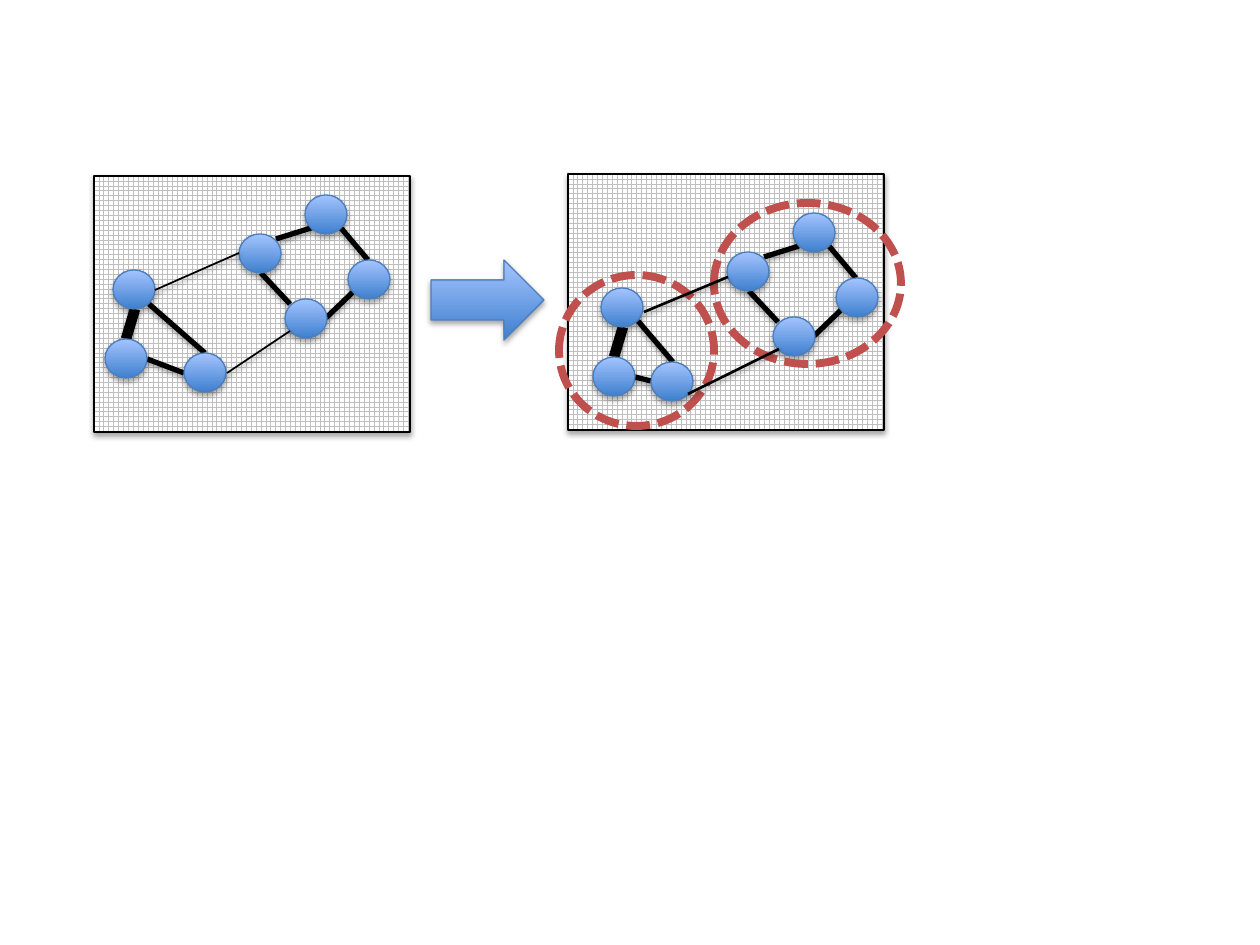
"""Build a slide showing a weighted graph split into two clusters."""
from lxml import etree
from pptx import Presentation
from pptx import util as u
from pptx.dml.color import RGBColor
from pptx.enum import dml, shapes
from pptx.oxml.ns import qn

BLACK = RGBColor(0x00, 0x00, 0x00)
WHITE = RGBColor(0xFF, 0xFF, 0xFF)
GRID_GREY = RGBColor(0xBF, 0xBF, 0xBF)
DEEP_BLUE = RGBColor(0x3F, 0x80, 0xCE)
LIGHT_BLUE = RGBColor(0xA4, 0xC4, 0xFF)
OUTLINE_BLUE = RGBColor(0x4B, 0x7E, 0xBC)
CLUSTER_RED = RGBColor(0xC0, 0x50, 0x4D)

NODE_SIZE = (42, 39)
RIGHT_SHIFT = (488, 18)
NODES = [(113, 270), (105, 339), (239, 234), (285, 299), (305, 195), (348, 260)]
EDGES = [
    (135, 309, 126, 339, 6),
    (290, 304, 261, 273, 3),
    (368, 260, 341, 228, 3),
    (311, 228, 276, 239, 3),
    (353, 292, 326, 318, 3),
]
LEFT_CORNER = (184, 353)
LEFT_CORNER_EDGES = [(184, 373, 147, 359, 3), (205, 353, 149, 304, 3)]
RIGHT_CORNER = (163, 344)
RIGHT_CORNER_EDGES = [(163, 363, 147, 359, 3), (185, 344, 150, 303, 3)]
PANELS = [(568, 174), (94, 176)]
CLUSTERS = [(714, 203, 187, 161), (559, 275, 155, 151)]
LINKS = [
    (239, 253, 155, 290, 1),
    (290, 331, 227, 373, 1),
    (728, 277, 644, 312, 1.5),
    (779, 349, 688, 394, 1.5),
]


class Canvas:
    """Hold the slide and the style of its elements."""

    def __init__(self, slide):
        self.slide = slide

    def emu(self, *pixels):
        return [u.Emu(round(value * 914400 / 126)) for value in pixels]

    def add_shadow(self, effects, distance, opacity):
        shadow = etree.SubElement(
            effects, qn("a:outerShdw"), blurRad="40000", dist=str(distance),
            dir="5400000", rotWithShape="0")
        tint = etree.SubElement(shadow, qn("a:srgbClr"), val=str(BLACK))
        etree.SubElement(tint, qn("a:alpha"), val=str(opacity * 1000))

    def shape(self, kind, box, line_color, line_width=0.75, shadow=True):
        shape = self.slide.shapes.add_shape(kind, *self.emu(*box))
        shape.line.color.rgb = line_color
        shape.line.width = u.Pt(line_width)
        shape.shadow.inherit = False
        if shadow:
            effects = shape.element.spPr.find(qn("a:effectLst"))
            self.add_shadow(effects, 23000, 35)
        return shape

    def panel(self, left, top):
        panel = self.shape(shapes.MSO_SHAPE.RECTANGLE, (left, top, 316, 256), BLACK)
        panel.fill.patterned()
        panel.fill.pattern = dml.MSO_PATTERN.LARGE_GRID
        panel.fill.fore_color.rgb = GRID_GREY
        panel.fill.back_color.rgb = WHITE

    def glossy(self, kind, *box):
        fill = self.shape(kind, box, OUTLINE_BLUE).fill
        fill.gradient()
        fill.gradient_angle = 90
        for stop, position, color in zip(
                fill.gradient_stops, (0, 1), (DEEP_BLUE, LIGHT_BLUE)):
            stop.position = position
            stop.color.rgb = color

    def cluster(self, *box):
        ring = self.shape(shapes.MSO_SHAPE.OVAL, box, CLUSTER_RED, 4.5, False)
        ring.fill.background()
        ring.line.dash_style = dml.MSO_LINE.SQUARE_DOT

    def edge(self, x1, y1, x2, y2, weight):
        edge = self.slide.shapes.add_connector(
            shapes.MSO_CONNECTOR.STRAIGHT, *self.emu(x1, y1, x2, y2))
        edge.line.color.rgb = BLACK
        edge.line.width = u.Pt(weight)
        effects = etree.SubElement(edge.element.spPr, qn("a:effectLst"))
        self.add_shadow(effects, 20000, 38)

    def graph(self, corner, corner_edges, dx=0, dy=0):
        for x1, y1, x2, y2, weight in EDGES + corner_edges:
            self.edge(x1 + dx, y1 + dy, x2 + dx, y2 + dy, weight)
        for x, y in NODES + [corner]:
            self.glossy(shapes.MSO_SHAPE.OVAL, x + dx, y + dy, *NODE_SIZE)


deck = Presentation()
deck.slide_width, deck.slide_height = u.Inches(10), u.Inches(7.5)
canvas = Canvas(deck.slides.add_slide(deck.slide_layouts[6]))

for corner in PANELS:
    canvas.panel(*corner)
canvas.graph(LEFT_CORNER, LEFT_CORNER_EDGES)
canvas.glossy(shapes.MSO_SHAPE.RIGHT_ARROW, 431, 260, 113, 80)
canvas.graph(RIGHT_CORNER, RIGHT_CORNER_EDGES, *RIGHT_SHIFT)
for ring in CLUSTERS:
    canvas.cluster(*ring)
for link in LINKS:
    canvas.edge(*link)

deck.save("out.pptx")
